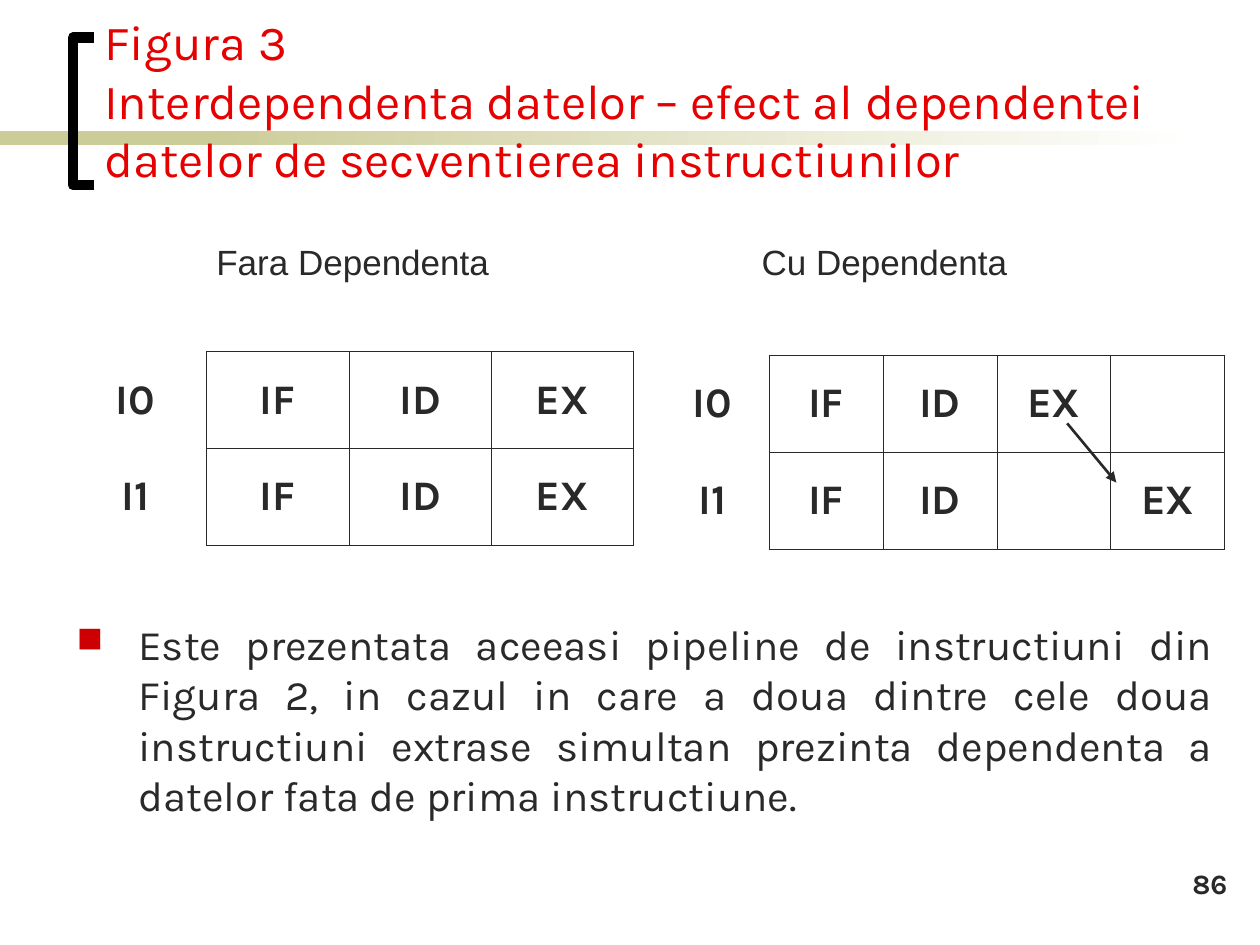
from dataclasses import dataclass

from lxml.etree import SubElement
from pptx import Presentation
from pptx.dml.color import RGBColor
from pptx.enum.shapes import MSO_CONNECTOR, MSO_SHAPE
from pptx.enum.text import MSO_ANCHOR, PP_ALIGN
from pptx.oxml.ns import qn
from pptx.util import Inches, Pt


@dataclass(frozen=True)
class Theme:
    ink: str = "292929"
    title: str = "E60000"
    bullet: str = "CC0000"
    band: str = "CCCC99"
    paper: str = "FFFFFF"
    bracket: str = "000000"
    font: str = "Karla"
    heading_font: str = "Arial"
    title_size: int = 28
    body_size: int = 24
    heading_size: int = 20
    number_size: int = 16
    border: float = 0.45


THEME = Theme()
TITLE = ("Figura 3\vInterdependenta datelor – efect al dependentei "
         "datelor de secventierea instructiunilor")
BODY = ("Este prezentata aceeasi pipeline de instructiuni din Figura 2, in cazul "
        "in care a doua dintre cele doua instructiuni extrase simultan prezinta "
        "dependenta a datelor fata de prima instructiune.")
INDEPENDENT = [["I0", "IF", "ID", "EX"], ["I1", "IF", "ID", "EX"]]
DEPENDENT = [["I0", "IF", "ID", "EX", ""], ["I1", "IF", "ID", "", "EX"]]


def rgb(color):
    return RGBColor.from_string(color)


def style(para, size, color=THEME.ink, font=THEME.font, bold=False,
          align=PP_ALIGN.LEFT):
    para.alignment = align
    para.font.size = Pt(size)
    para.font.name = font
    para.font.bold = bold
    para.font.color.rgb = rgb(color)


def add_text(page, text, left, top, width, height, size, wrap=True,
             anchor=MSO_ANCHOR.TOP, **look):
    box = page.shapes.add_textbox(Inches(left), Inches(top), Inches(width), Inches(height))
    frame = box.text_frame
    frame.word_wrap = wrap
    frame.vertical_anchor = anchor
    frame.text = text
    para = frame.paragraphs[0]
    style(para, size, **look)
    return para


def add_square_bullet(para, indent):
    properties = para._p.get_or_add_pPr()
    properties.set("marL", str(Inches(indent)))
    properties.set("indent", str(-Inches(indent)))
    color = SubElement(properties, qn("a:buClr"))
    SubElement(color, qn("a:srgbClr"), val=THEME.bullet)
    SubElement(properties, qn("a:buSzPct"), val="85000")
    SubElement(properties, qn("a:buChar"), char="■")


def add_band(page, left, width):
    band = page.shapes.add_shape(MSO_SHAPE.RECTANGLE, Inches(left), Inches(1.04),
                                 Inches(width), Inches(0.11))
    band.shadow.inherit = False
    band.line.fill.background()
    return band.fill


def add_title_decoration(page):
    solid = add_band(page, 0, 2.33)
    solid.solid()
    solid.fore_color.rgb = rgb(THEME.band)
    fading = add_band(page, 1.58, 7.92)
    fading.gradient()
    fading.gradient_angle = 180
    for stop, color in zip(fading.gradient_stops, (THEME.paper, THEME.band)):
        stop.color.rgb = rgb(color)

    builder = page.shapes.build_freeform(Inches(0.75), Inches(1.47))
    corners = [(0.58, 1.47), (0.58, 0.3), (0.75, 0.3)]
    builder.add_line_segments([(Inches(x), Inches(y)) for x, y in corners], close=False)
    bracket = builder.convert_to_shape()
    bracket.shadow.inherit = False
    bracket.fill.background()
    bracket.line.color.rgb = rgb(THEME.bracket)
    bracket.line.width = Pt(6)


def set_borders(cell, visible_sides):
    properties = cell._tc.get_or_add_tcPr()
    for position, side in enumerate("LRTB"):
        border = properties.makeelement(qn(f"a:ln{side}"), {"w": str(Pt(THEME.border))})
        if side in visible_sides:
            fill = SubElement(border, qn("a:solidFill"))
            SubElement(fill, qn("a:srgbClr"), val=THEME.ink)
        else:
            SubElement(border, qn("a:noFill"))
        properties.insert(position, border)


def add_pipeline(page, rows, left, top):
    """Table of stages whose first column holds unframed instruction names."""
    width, row_height = Inches(4.52), Inches(0.77)
    count = len(rows[0])
    table = page.shapes.add_table(len(rows), count, Inches(left), Inches(top),
                                  width, row_height * len(rows)).table
    table.first_row = table.horz_banding = False
    for column in table.columns:
        column.width = width // count
    for row_index, row in enumerate(rows):
        table.rows[row_index].height = row_height
        for column_index, text in enumerate(row):
            cell = table.cell(row_index, column_index)
            cell.text = text
            cell.vertical_anchor = MSO_ANCHOR.MIDDLE
            cell.fill.background()
            style(cell.text_frame.paragraphs[0], THEME.body_size, bold=True,
                  align=PP_ALIGN.CENTER)
            set_borders(cell, "LRTB" if column_index else "R")


def add_arrow(page, start, end):
    arrow = page.shapes.add_connector(MSO_CONNECTOR.STRAIGHT,
                                      *map(Inches, start), *map(Inches, end))
    arrow.line.color.rgb = rgb(THEME.ink)
    arrow.line.width = Pt(1.5)
    SubElement(arrow.line._get_or_add_ln(), qn("a:tailEnd"), type="triangle")
    SubElement(arrow._element.spPr, qn("a:effectLst"))


def main():
    deck = Presentation()
    deck.slide_width, deck.slide_height = Inches(10), Inches(7.5)
    page = deck.slides.add_slide(deck.slide_layouts[6])

    add_title_decoration(page)
    add_text(page, TITLE, 0.73, 0.93, 9, 0.61, THEME.title_size,
             anchor=MSO_ANCHOR.BOTTOM, color=THEME.title)
    body = add_text(page, BODY, 0.51, 4.86, 9.21, 1.96, THEME.body_size,
                    align=PP_ALIGN.JUSTIFY)
    add_square_bullet(body, 0.49)

    add_pipeline(page, INDEPENDENT, 0.51, 2.79)
    add_pipeline(page, DEPENDENT, 5.2, 2.82)
    add_arrow(page, (8.47, 3.36), (8.86, 3.83))

    for heading, left, width in (("Fara Dependenta", 1.57, 2.46),
                                 ("Cu Dependenta", 5.9, 2.24)):
        add_text(page, heading, left, 1.86, width, 0.44, THEME.heading_size,
                 wrap=False, font=THEME.heading_font, align=PP_ALIGN.CENTER)
    add_text(page, "86", 7.76, 6.83, 2.08, 0.5, THEME.number_size, bold=True,
             align=PP_ALIGN.RIGHT)
    deck.save("out.pptx")


if __name__ == "__main__":
    main()
